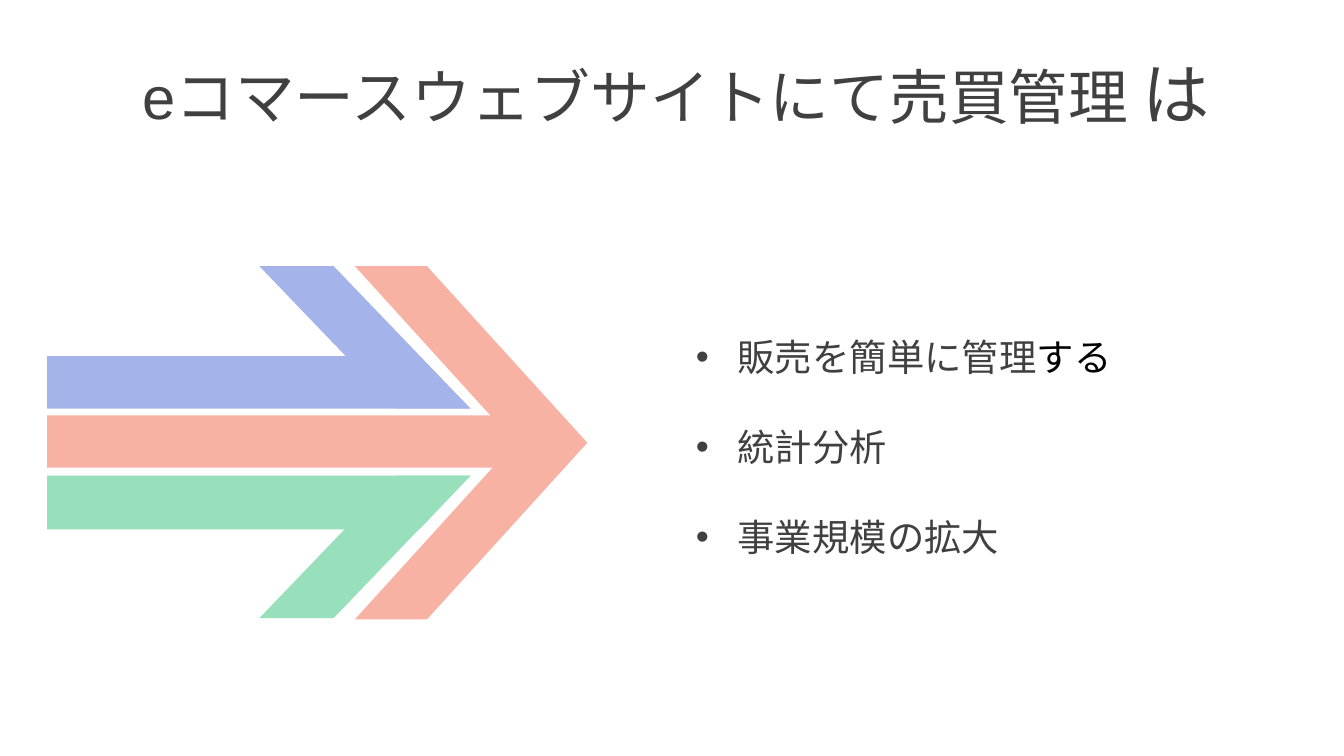
"""Build a slide with a three-part arrow and a list of sales management benefits."""
from lxml import etree
from pptx import Presentation
from pptx.dml.color import RGBColor
from pptx.enum import shapes, text
from pptx.util import Inches, Pt

HUES = {"coral": "F8B2A3", "green": "98DFBB", "blue": "A4B4EA",
        "gray": "404040", "black": "000000"}
KIND = shapes.MSO_SHAPE

deck = Presentation()
deck.slide_width = Inches(10)
deck.slide_height = Inches(10 * 9 / 16)
slide = deck.slides.add_slide(deck.slide_layouts[6])


def paint(shape, hue):
    shape.shadow.inherit = False
    shape.fill.solid()
    shape.fill.fore_color.rgb = RGBColor.from_string(HUES[hue])
    shape.line.fill.background()


def write(para, words, size, hue="gray"):
    run = para.add_run()
    run.text = words
    run.font.name = "Arial"
    run.font.size = Pt(size)
    run.font.color.rgb = RGBColor.from_string(HUES[hue])


title = slide.shapes.add_textbox(Inches(0.03), Inches(0.09), Inches(10), Inches(1.2))
frame = title.text_frame
frame.word_wrap = True
frame.vertical_anchor = text.MSO_ANCHOR.MIDDLE
head = frame.paragraphs[0]
head.alignment = text.PP_ALIGN.CENTER
write(head, "eコマースウェブサイトにて売買管理 ", 32)
write(head, "は", 36)

shaft = slide.shapes.add_shape(
    KIND.RECTANGLE, Inches(0.35), Inches(3.09), Inches(3.59), Inches(0.39))
paint(shaft, "coral")
tip = slide.shapes.add_shape(
    KIND.CHEVRON, Inches(2.64), Inches(1.98), Inches(1.73), Inches(2.63))
tip.adjustments[0] = 0.69
paint(tip, "coral")

for hue, inner, outer, top, flip in (
        ("green", 3.54, 3.94, 3.54, False), ("blue", 3.04, 2.65, 1.98, True)):
    pen = slide.shapes.build_freeform(Inches(0.35), Inches(inner), scale=1.0)
    pen.add_line_segments(
        [(Inches(x), Inches(y)) for x, y in ((3.5, inner), (3.12, outer), (0.35, outer))],
        close=True)
    paint(pen.convert_to_shape(), hue)
    barb = slide.shapes.add_shape(
        KIND.PARALLELOGRAM, Inches(1.93), Inches(top), Inches(1.57), Inches(1.06))
    barb.adjustments[0] = 0.96
    if flip:
        barb._element.spPr.xfrm.set("flipH", "1")
    paint(barb, hue)

points = slide.shapes.add_textbox(Inches(5.08), Inches(2.44), Inches(3.87), Inches(1.78))
frame = points.text_frame
frame.word_wrap = True
items = (
    (("販売を簡単に管理", "gray"), ("する", "black")),
    (("統計分析", "gray"),),
    (("事業規模の拡大", "gray"),),
)
for rank, item in enumerate(items):
    para = frame.paragraphs[0] if rank == 0 else frame.add_paragraph()
    para.space_after = Pt(24)
    props = para._p.get_or_add_pPr()
    props.set("marL", str(Inches(0.31)))
    props.set("indent", str(Inches(-0.31)))
    space = "{http://schemas.openxmlformats.org/drawingml/2006/main}"
    etree.SubElement(props, space + "buFont").set("typeface", "Arial")
    etree.SubElement(props, space + "buChar").set("char", "•")
    for words, hue in item:
        write(para, words, 20, hue)

deck.save("out.pptx")
